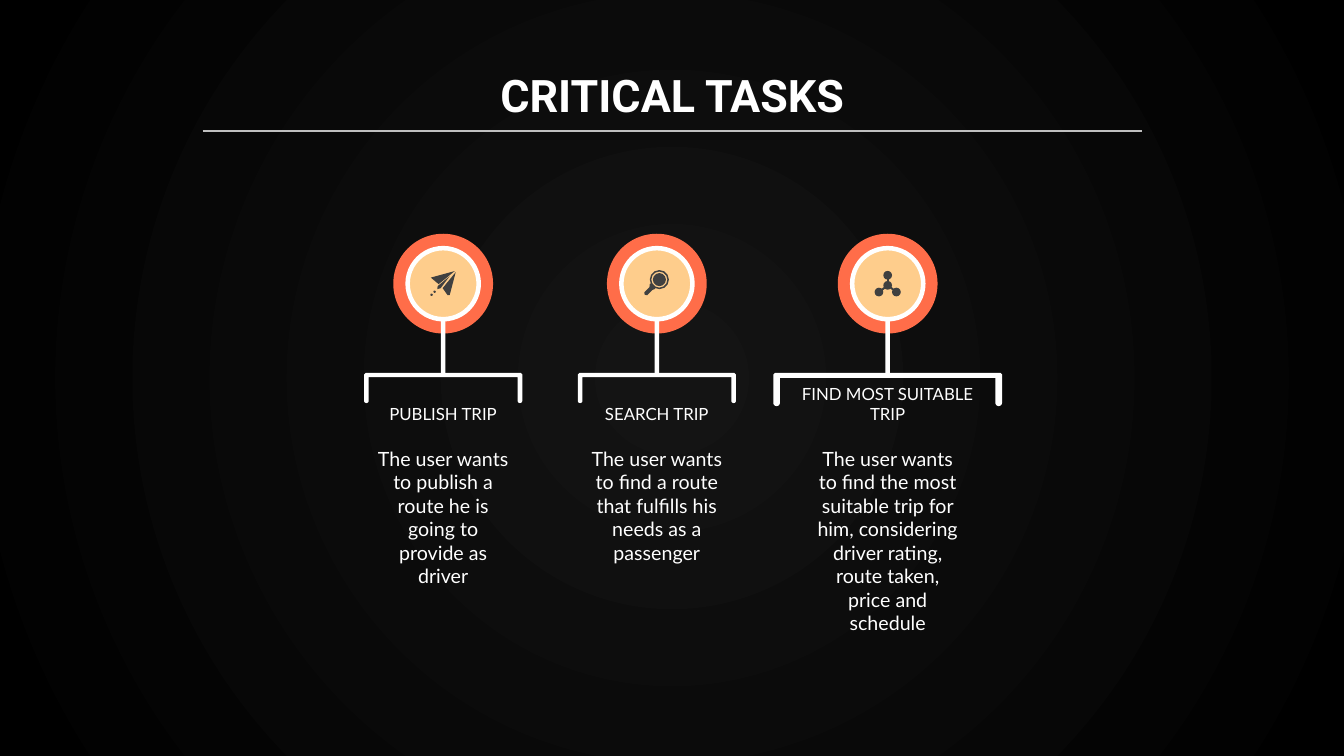
from dataclasses import dataclass
from math import cos, pi, sin

from lxml.etree import SubElement
from pptx import Presentation
from pptx.dml.color import RGBColor
from pptx.enum.shapes import MSO_CONNECTOR, MSO_SHAPE
from pptx.enum.text import MSO_ANCHOR, MSO_AUTO_SIZE, PP_ALIGN
from pptx.oxml.ns import qn
from pptx.util import Inches, Pt


@dataclass(frozen=True)
class Theme:
    glow: str = "141414"
    edge: str = "000000"
    white: str = "FFFFFF"
    rule: str = "BFBFBF"
    coral: str = "FF6D49"
    peach: str = "FECD8C"
    ink: str = "404040"
    head: str = "Roboto"
    font: str = "Lato"
    title: int = 32
    label: int = 12
    body: int = 14


LOOK = Theme()
WIDTH, HEIGHT = Inches(13.33), Inches(7.5)
UNIT = WIDTH / 400  # the slide is a grid of 400 columns by 225 rows


def grid(*cells):
    return [round(cell * UNIT) for cell in cells]


def paint(shape, color):
    shape.shadow.inherit = False
    shape.fill.solid()
    shape.fill.fore_color.rgb = RGBColor.from_string(color)
    shape.line.fill.background()
    return shape


def spot(shapes, kind, x, y, size, color, tall=None):
    """Preset shape centred on x, y."""
    tall = tall or size
    return paint(shapes.add_shape(kind, *grid(x - size / 2, y - tall / 2, size, tall)), color)


def outline(shapes, x, y, points, color):
    """Closed outline whose points are offsets from x, y."""
    first, *rest = [tuple(grid(x + px, y + py)) for px, py in points]
    form = shapes.build_freeform(*first, scale=1.0)
    form.add_line_segments(rest, close=True)
    return paint(form.convert_to_shape(), color)


def line(shapes, start, end, color, weight):
    link = shapes.add_connector(MSO_CONNECTOR.STRAIGHT, *grid(*start, *end))
    link.line.color.rgb = RGBColor.from_string(color)
    link.line.width = Pt(weight)
    SubElement(link._element.spPr, qn("a:effectLst"))


def write(shape, box, words, *, size, font=LOOK.font, bold=False, anchor=MSO_ANCHOR.TOP):
    shape.left, shape.top, shape.width, shape.height = grid(*box)
    frame = shape.text_frame
    frame.word_wrap = True
    frame.auto_size = MSO_AUTO_SIZE.NONE
    frame.vertical_anchor = anchor
    frame.margin_left = frame.margin_right = Inches(0.1)
    frame.margin_top = frame.margin_bottom = Inches(0.1)
    para = frame.paragraphs[0]
    para.alignment = PP_ALIGN.CENTER
    para.space_before = Pt(0)
    props = para._p.get_or_add_pPr()
    props.set("marL", "0")
    props.set("indent", "0")
    SubElement(props, qn("a:buNone"))
    run = para.add_run()
    run.text = words
    run.font.name, run.font.size, run.font.bold = font, Pt(size), bold
    run.font.color.rgb = RGBColor.from_string(LOOK.white)


# Icons, each centred on x, y
def plane(shapes, x, y):
    wings = [
        [(3.45, -3.75), (-3.7, -1.8), (-1.35, 0.15)],
        [(3.75, -3.45), (-0.15, 1.35), (1.35, 3.45), (1.95, 3.45)],
        [(1.95, -2.25), (-1.65, 0.75), (-1.75, 1.65), (-0.75, 1.35)],
    ]
    for wing in wings:
        outline(shapes, x, y, wing, LOOK.ink)
    for dx, dy in [(-3.45, 3.3), (-2.55, 2.4)]:
        spot(shapes, MSO_SHAPE.OVAL, x + dx, y + dy, 0.7, LOOK.ink)


def lens(shapes, x, y):
    grip = [(-3.75, 2.6), (-2.2, 1.05), (-2.1, 0.15), (-1.6, -0.2), (-0.3, 1.1),
            (-0.6, 1.6), (-1.35, 1.9), (-2.9, 3.45), (-3.6, 3.3)]
    outline(shapes, x, y, grip, LOOK.ink)
    rim = spot(shapes, MSO_SHAPE.DONUT, x + 0.75, y - 1.2, 5.7, LOOK.ink)
    rim.adjustments[0] = 0.08
    spot(shapes, MSO_SHAPE.OVAL, x + 0.75, y - 1.2, 3.9, LOOK.ink)


def network(shapes, x, y):
    hub = (x, y + 0.5)
    for dx, dy in [(0, -2.5), (-2.6, 2.5), (2.6, 2.5)]:
        node = (x + dx, y + dy)
        line(shapes, hub, node, LOOK.ink, 1.4)
        spot(shapes, MSO_SHAPE.OVAL, *node, 2.6, LOOK.ink)
    spot(shapes, MSO_SHAPE.OVAL, *hub, 2.6, LOOK.ink)


def bracket(shapes, box, leg, bar):
    """Bar with two legs that end in round feet."""
    left, top, wide, deep = box
    r, cut = leg / 2, 0.5

    def foot(mid):
        return [(mid + r * cos(pi * k / 8), deep - r + r * sin(pi * k / 8)) for k in range(9)]

    points = [(cut, 0), (wide - cut, 0), (wide, cut), *foot(wide - r),
              (wide - leg, bar), (leg, bar), *foot(r), (0, cut)]
    outline(shapes, left, top, points, LOOK.white)


def badge(shapes, x, y, icon):
    spot(shapes, MSO_SHAPE.OVAL, x, y, 29.7, LOOK.coral)
    stem = spot(shapes, MSO_SHAPE.ROUNDED_RECTANGLE, x, y + 12.75, 1.3, LOOK.white, tall=30)
    stem.adjustments[0] = 0.5
    spot(shapes, MSO_SHAPE.OVAL, x, y, 21, LOOK.peach)
    ring = spot(shapes, MSO_SHAPE.DONUT, x, y, 22.5, LOOK.white)
    ring.adjustments[0] = 0.06
    icon(shapes, x, y)


def header(slide, box, words):
    left, top, wide, tall = box
    write(slide.shapes.title, box, words, size=LOOK.title, font=LOOK.head,
          bold=True, anchor=MSO_ANCHOR.BOTTOM)
    inset, base = 8.1, top + tall - 0.3
    line(slide.shapes, (left + inset, base), (left + wide - inset, base), LOOK.rule, 0.75)


def column(slide, body, box, task):
    """One task: badge, bracket, label and description."""
    left, top, wide, tall = box
    mid = left + wide / 2
    span, deep, leg, bar = task["frame"]
    shapes = slide.shapes
    badge(shapes, mid, top + 14.85, task["icon"])
    bracket(shapes, (mid - span / 2, top + 41.4, span, deep), leg, bar)
    high = 5.7 + 6 * task["rows"]
    write(shapes.add_textbox(0, 0, 0, 0), (left, top + 59.7 - high, wide, high),
          task["label"], size=LOOK.label, anchor=MSO_ANCHOR.BOTTOM)
    room = task["room"]
    write(body, (mid - room / 2, top + 60.3, room, tall - 60.3), task["text"], size=LOOK.body)


def backdrop(slide):
    fill = slide.background.fill
    fill.gradient()
    for stop, color, place in zip(fill.gradient_stops, (LOOK.glow, LOOK.edge), (0, 1)):
        stop.color.rgb = RGBColor.from_string(color)
        stop.position = place
    grad = slide._element.find(".//" + qn("a:gradFill"))
    grad.remove(grad.find(qn("a:lin")))
    ray = SubElement(grad, qn("a:path"), path="circle")
    SubElement(ray, qn("a:fillToRect"), l="50000", t="50000", r="50000", b="50000")


SLIM = (47.1, 9, 1.4, 1.3)  # span, depth, leg and bar of a bracket
BROAD = (68.1, 9.9, 2, 1.5)
TASKS = [
    dict(mid=131.9, icon=plane, frame=SLIM, rows=1, room=47.1, label="PUBLISH TRIP",
         text="The user wants to publish a route he is going to provide as driver"),
    dict(mid=195.5, icon=lens, frame=SLIM, rows=1, room=47.1, label="SEARCH TRIP",
         text="The user wants to find a route that fulfills his needs as a passenger"),
    dict(mid=264.2, icon=network, frame=BROAD, rows=2, room=49.8, label="FIND MOST SUITABLE TRIP",
         text="The user wants to find the most suitable trip for him, considering "
              "driver rating, route taken, price and schedule"),
]


def main():
    deck = Presentation()
    deck.slide_width, deck.slide_height = WIDTH, HEIGHT
    slide = deck.slides.add_slide(deck.slide_layouts.get_by_name("Comparison"))
    backdrop(slide)
    header(slide, (52.2, 17.4, 295.8, 21.9), "CRITICAL TASKS")
    _, *bodies, spare = list(slide.placeholders)
    spare._element.getparent().remove(spare._element)
    for body, task in zip(bodies, TASKS):
        column(slide, body, (task["mid"] - 34.05, 69.6, 68.1, 124), task)
    deck.save("out.pptx")


if __name__ == "__main__":
    main()
